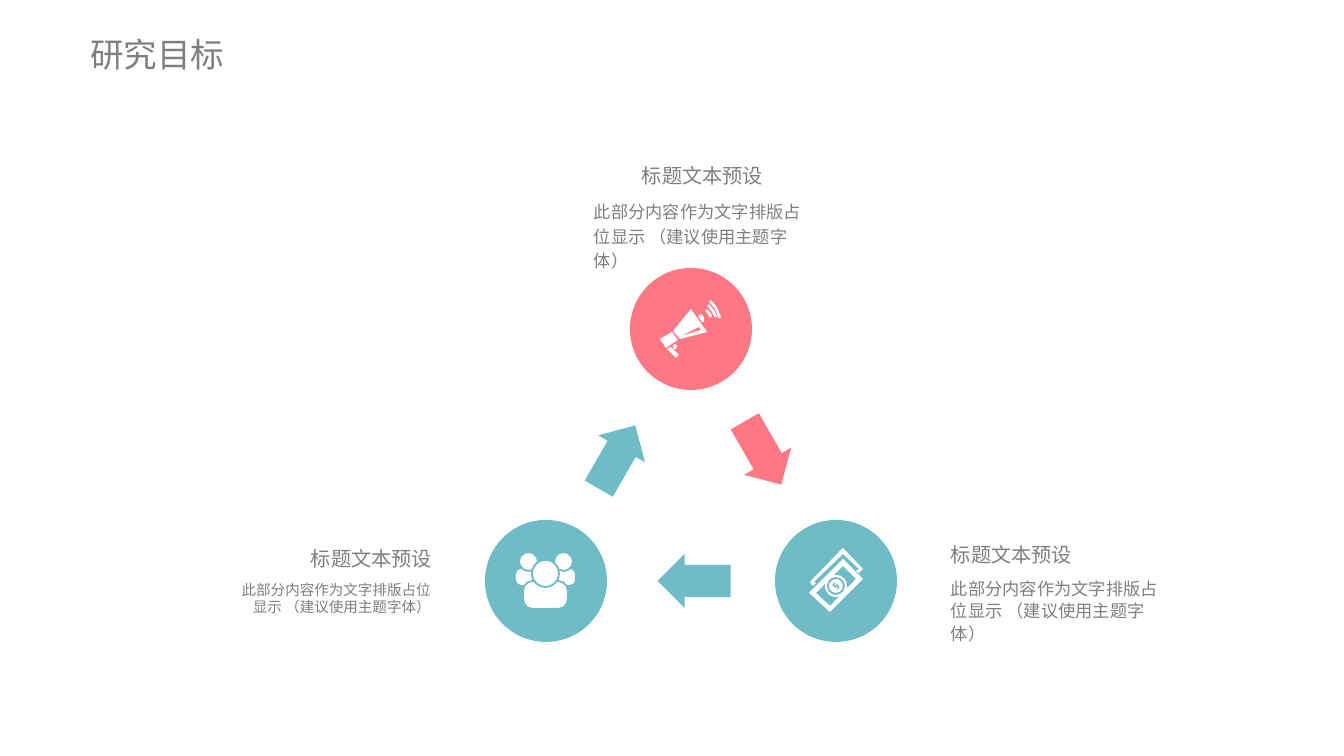
from lxml import etree
from pptx import Presentation
from pptx import util as u
from pptx.dml.color import RGBColor
from pptx.enum import shapes, text
from pptx.oxml.ns import qn

EMU_PER_PX = 914400 / 134.4
SHAPE = shapes.MSO_SHAPE
ALIGN = text.PP_ALIGN
THEME = {
    "font": "Noto Sans CJK SC",
    "white": "FFFFFF", "grey": "7F7F7F", "teal": "70BCC6", "coral": "FD7784",
    "title": 18, "heading": 10.8, "body": 9.2, "small": 7.8,
}

TITLE = ("研究目标", (90, 26, 313, 56))
HEADING = "标题文本预设"
BODY = "此部分内容作为文字排版占位显示 （建议使用主题字体）"

# text, box, left and right inset, size, alignment, line spacing, wraps
CAPTIONS = [
    (HEADING, (898, 535, 169, 34), (53, 13), "heading", ALIGN.LEFT, 1, False),
    (BODY, (898, 569, 276, 62), (53, 13), "body", ALIGN.LEFT, 1.1, True),
    (HEADING, (629, 156, 138, 34), (13, 13), "heading", ALIGN.LEFT, 1, False),
    (BODY, (581, 190, 234, 78), (13, 13), "body", ALIGN.LEFT, 1.2, True),
    (HEADING, (316, 539, 169, 34), (13, 53), "heading", ALIGN.RIGHT, 1, False),
    (BODY, (221, 574, 263, 62), (13, 53), "small", ALIGN.RIGHT, 1, True),
]

DISC_SIZE = 122
DISCS = [((546, 581), "teal"), ((836, 581), "teal"), ((691, 329), "coral")]
ARROW_SIZE = (73, 54)
ARROWS = [((763, 453), 60, "coral"), ((694, 581), 180, "teal"), ((617, 457), 300, "teal")]

# preset, box, outlined in the disc colour
PEOPLE = [
    (SHAPE.ROUNDED_RECTANGLE, (516, 569, 22, 16), False),
    (SHAPE.ROUNDED_RECTANGLE, (553, 569, 22, 16), False),
    (SHAPE.OVAL, (519, 552, 19, 19), True),
    (SHAPE.OVAL, (554, 552, 19, 19), True),
    (SHAPE.ROUNDED_RECTANGLE, (523, 581, 45, 28), True),
    (SHAPE.OVAL, (532, 560, 27, 27), True),
]

# each polygon is an outer contour followed by any holes
BANKNOTES = [
    [[(843, 548), (863, 569), (859, 573), (856, 571), (859, 569), (843, 554),
      (814, 582), (816, 583), (813, 586), (810, 582)]],
    [[(843, 559), (863, 579), (830, 612), (809, 593)],
     [(843, 566), (816, 593), (830, 606), (856, 579)]],
]
COIN_RINGS = [((825, 575, 22, 22), False), ((828, 578, 16, 16), True)]
COIN_SIGN = [(835, 583), (833, 585), (835, 587), (837, 585), (839, 587), (837, 589)]

MEGAPHONE = [
    [[(691, 309), (707, 332), (680, 339), (673, 331)],
     [(699, 327), (681, 336), (701, 330)]],
    [[(672, 332), (678, 340), (666, 348), (660, 339)]],
    [[(671, 347), (679, 355), (676, 358), (667, 349)]],
    [[(675, 344), (677, 346), (676, 349), (674, 349), (673, 346)]],
    [[(698, 316), (701, 314), (704, 317), (704, 322), (702, 322)]],
]
SOUND_WAVES = [
    [(710, 301), (716, 308), (720, 318)],
    [(708, 305), (713, 311), (716, 317)],
    [(706, 310), (709, 313), (711, 317)],
]


def px(value):
    return u.Emu(round(value * EMU_PER_PX))


def colour(name):
    return RGBColor.from_string(THEME[name])


def centred(centre, width, height):
    return centre[0] - width / 2, centre[1] - height / 2, width, height


def paint(shape, fill=None, line=None, width=1):
    shape.shadow.inherit = False
    if fill:
        shape.fill.solid()
        shape.fill.fore_color.rgb = colour(fill)
    else:
        shape.fill.background()
    if line:
        shape.line.color.rgb = colour(line)
        shape.line.width = u.Pt(width)
    else:
        shape.line.fill.background()


def add_preset(page, preset, box, fill, line=None):
    shape = page.shapes.add_shape(preset, *map(px, box))
    paint(shape, fill, line)
    return shape


def add_outline(page, contours, closed=True):
    builder = page.shapes.build_freeform(*contours[0][0], scale=EMU_PER_PX)
    builder.add_line_segments(contours[0][1:], close=closed)
    for hole in contours[1:]:
        builder.move_to(*hole[0])
        builder.add_line_segments(hole[1:], close=True)
    return builder.convert_to_shape()


def write(box, content, size, align, insets, spacing=1, wraps=True):
    frame = box.text_frame
    frame.word_wrap = wraps
    frame.auto_size = text.MSO_AUTO_SIZE.NONE
    frame.margin_left, frame.margin_right = map(px, insets)
    frame.margin_top = frame.margin_bottom = px(7)
    para = frame.paragraphs[0]
    para.alignment = align
    para.line_spacing = spacing
    span = para.add_run()
    span.text = content
    span.font.name = THEME["font"]
    span.font.size = u.Pt(THEME[size])
    span.font.color.rgb = colour("grey")
    east_asian = etree.SubElement(span.font._element, qn("a:ea"))
    east_asian.set("typeface", THEME["font"])


def add_cycle(page):
    for centre, angle, fill in ARROWS:
        arrow = add_preset(page, SHAPE.RIGHT_ARROW, centred(centre, *ARROW_SIZE), fill)
        arrow.adjustments[0], arrow.adjustments[1] = 0.6, 0.5
        arrow.rotation = angle
    for centre, fill in DISCS:
        add_preset(page, SHAPE.OVAL, centred(centre, DISC_SIZE, DISC_SIZE), fill)


def add_icons(page):
    for preset, box, outlined in PEOPLE:
        part = add_preset(page, preset, box, "white", "teal" if outlined else None)
        if preset == SHAPE.ROUNDED_RECTANGLE:
            part.adjustments[0] = 0.35
    for contours in BANKNOTES + MEGAPHONE:
        paint(add_outline(page, contours), "white")
    for box, outlined in COIN_RINGS:
        add_preset(page, SHAPE.OVAL, box, "white", "teal" if outlined else None)
    paint(add_outline(page, [COIN_SIGN], closed=False), line="teal", width=0.75)
    for wave in SOUND_WAVES:
        paint(add_outline(page, [wave], closed=False), line="white", width=1.4)


def main():
    deck = Presentation()
    deck.slide_width, deck.slide_height = px(1344), px(756)
    page = deck.slides.add_slide(deck.slide_layouts[5])
    add_cycle(page)
    add_icons(page)
    for content, box, insets, size, align, spacing, wraps in CAPTIONS:
        caption = page.shapes.add_textbox(*map(px, box))
        write(caption, content, size, align, insets, spacing, wraps)
    title = page.shapes.title
    title.left, title.top, title.width, title.height = map(px, TITLE[1])
    title.text_frame.vertical_anchor = text.MSO_ANCHOR.MIDDLE
    write(title, TITLE[0], "title", ALIGN.LEFT, (0, 0))
    deck.save("out.pptx")


if __name__ == "__main__":
    main()
